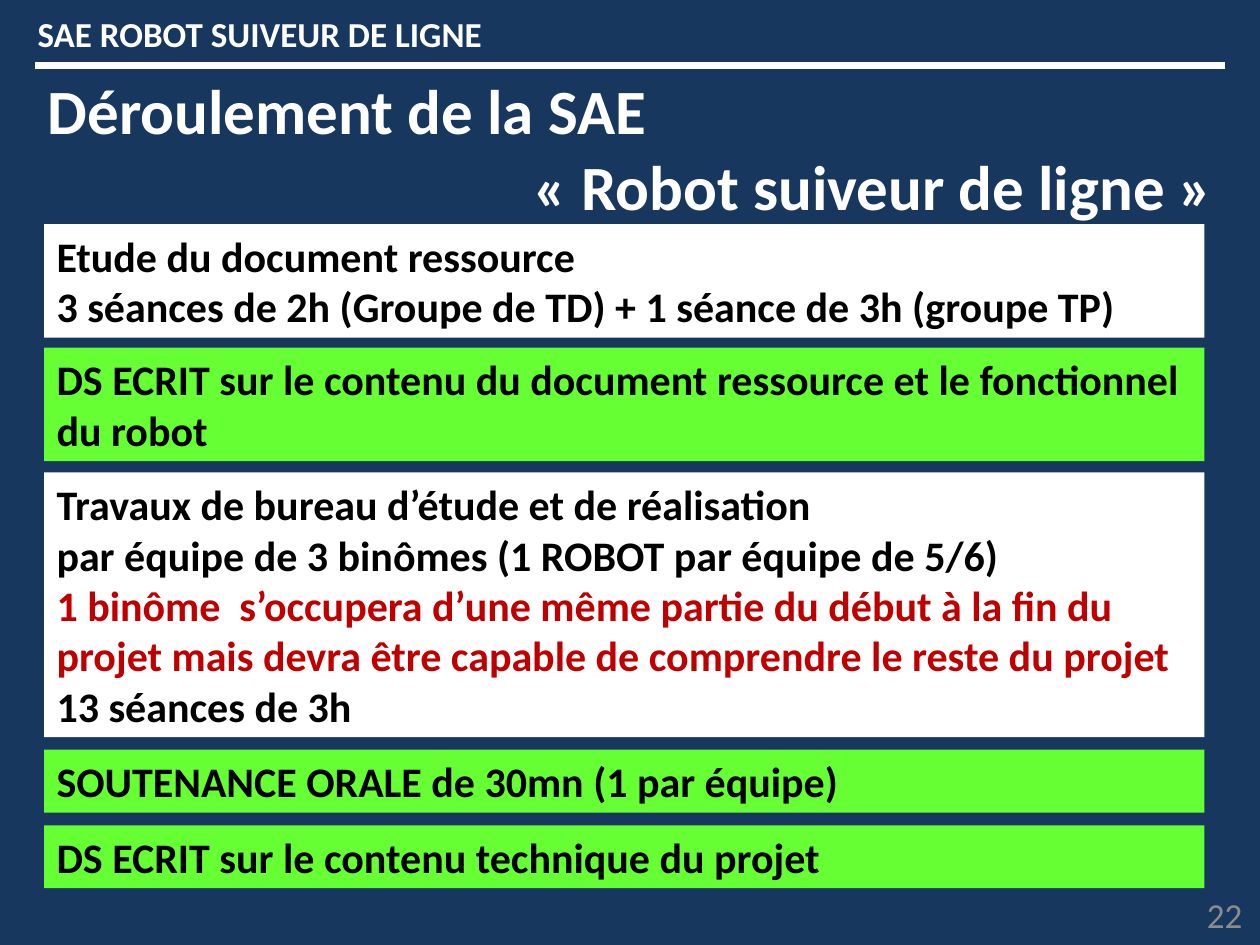
from pptx import Presentation
from pptx.dml.color import RGBColor
from pptx.enum.shapes import MSO_CONNECTOR as Connector, MSO_SHAPE as Shape
from pptx.enum.text import MSO_ANCHOR as Anchor, PP_ALIGN as Align
from pptx.oxml.ns import qn
from pptx.util import Inches, Pt
from lxml.etree import SubElement

NAVY = RGBColor(0x17, 0x37, 0x5E)
WHITE = RGBColor(0xFF, 0xFF, 0xFF)
BLACK = RGBColor(0, 0, 0)
GREEN = RGBColor(0x66, 0xFF, 0x33)
RED = RGBColor(0xC0, 0, 0)
GREY = RGBColor(0x8C, 0x8C, 0x8C)

# Column shared by all the steps, and the height of one line of their text
STEP_LEFT, STEP_WIDTH = 0.35, 9.21
LINE_HEIGHT, PADDING = 0.4, 0.1

# Top, number of lines, fill, paragraphs (text, colour)
STEPS = [
    (1.78, 2, WHITE, [
        ("Etude du document ressource", BLACK),
        ("3 séances de 2h (Groupe de TD) + 1 séance de 3h (groupe TP)", BLACK)]),
    (2.76, 2, GREEN, [
        ("DS ECRIT sur le contenu du document ressource et le fonctionnel "
         "du robot", BLACK)]),
    (3.75, 5, WHITE, [
        ("Travaux de bureau d’étude et de réalisation \v"
         "par équipe de 3 binômes (1 ROBOT par équipe de 5/6)", BLACK),
        ("1 binôme  s’occupera d’une même partie du début à la fin du projet "
         "mais devra être capable de comprendre le reste du projet", RED),
        ("13 séances de 3h", BLACK)]),
    (5.95, 1, GREEN, [("SOUTENANCE ORALE de 30mn (1 par équipe)", BLACK)]),
    (6.55, 1, GREEN, [("DS ECRIT sur le contenu technique du projet", BLACK)]),
]


def write(frame, lines, size, bold=True, wrap=True, anchor=Anchor.TOP):
    """Fill a text frame with (text, colour, alignment) paragraphs."""
    frame.word_wrap = wrap
    frame.vertical_anchor = anchor
    for i, (text, colour, align) in enumerate(lines):
        paragraph = frame.add_paragraph() if i else frame.paragraphs[0]
        paragraph.text = text
        paragraph.alignment = align
        font = paragraph.font
        font.name, font.size, font.bold = "Calibri", Pt(size), bold
        font.color.rgb = colour


def add_label(slide, box, lines, size, **options):
    label = slide.shapes.add_textbox(*map(Inches, box))
    write(label.text_frame, lines, size, **options)


def add_rule(slide, left, right, y):
    rule = slide.shapes.add_connector(
        Connector.STRAIGHT, Inches(left), Inches(y), Inches(right), Inches(y))
    rule.line.color.rgb = WHITE
    rule.line.width = Pt(4)
    SubElement(rule._element.spPr, qn("a:effectLst"))


def add_step(slide, top, line_count, fill, paragraphs):
    height = PADDING + LINE_HEIGHT * line_count
    box = (STEP_LEFT, top, STEP_WIDTH, height)
    step = slide.shapes.add_shape(Shape.RECTANGLE, *map(Inches, box))
    step.shadow.inherit = False
    step.fill.solid()
    step.fill.fore_color.rgb = fill
    step.line.fill.background()
    write(step.text_frame,
          [(text, colour, Align.LEFT) for text, colour in paragraphs], 24)


def main():
    deck = Presentation()
    deck.slide_width, deck.slide_height = Inches(10), Inches(7.5)
    slide = deck.slides.add_slide(deck.slide_layouts[6])
    slide.background.fill.solid()
    slide.background.fill.fore_color.rgb = NAVY

    # Title and running header
    add_label(slide, (0.28, 0.52, 9.45, 1.31),
              [("Déroulement de la SAE", WHITE, Align.LEFT),
               ("« Robot suiveur de ligne »", WHITE, Align.RIGHT)], 36)
    add_rule(slide, 0.28, 9.72, 0.52)
    add_label(slide, (0.2, 0.05, 3.76, 0.44),
              [("SAE ROBOT SUIVEUR DE LIGNE", WHITE, Align.LEFT)], 20, wrap=False)

    # Steps of the project
    for step in STEPS:
        add_step(slide, *step)

    # Page number
    add_label(slide, (7.63, 7.06, 2.33, 0.4), [("22", GREY, Align.RIGHT)], 20,
              bold=False, anchor=Anchor.MIDDLE)

    deck.save("out.pptx")


if __name__ == "__main__":
    main()
